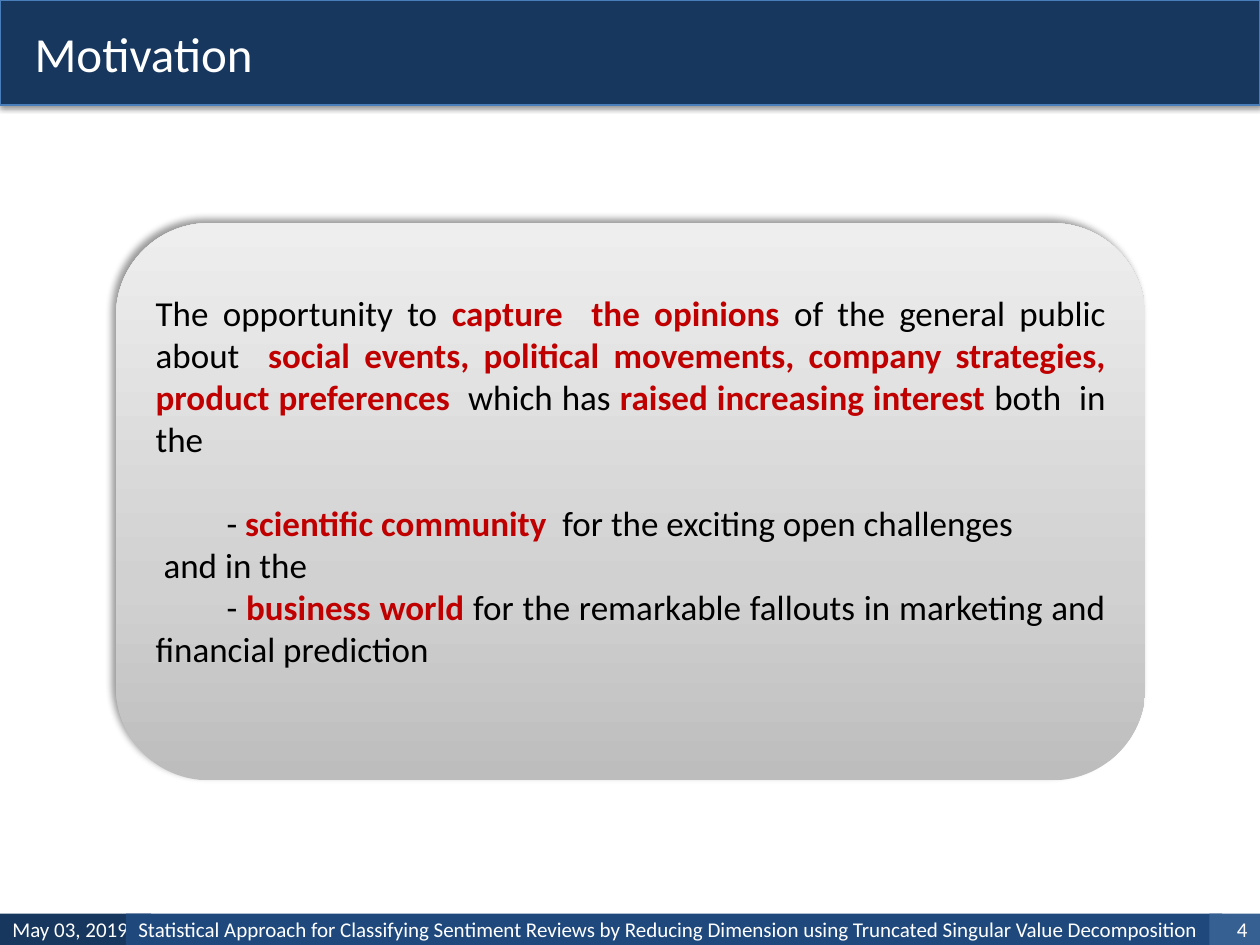
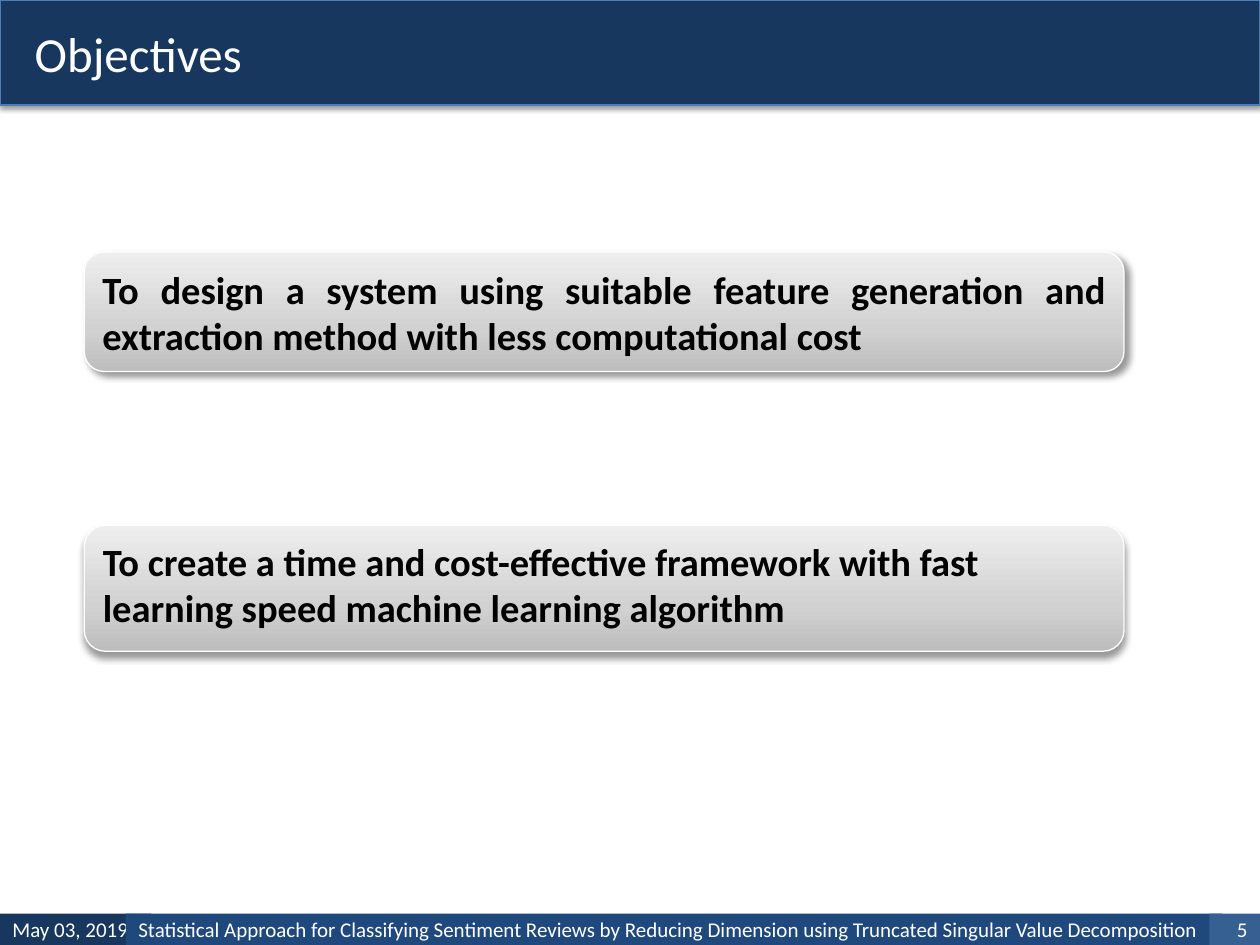
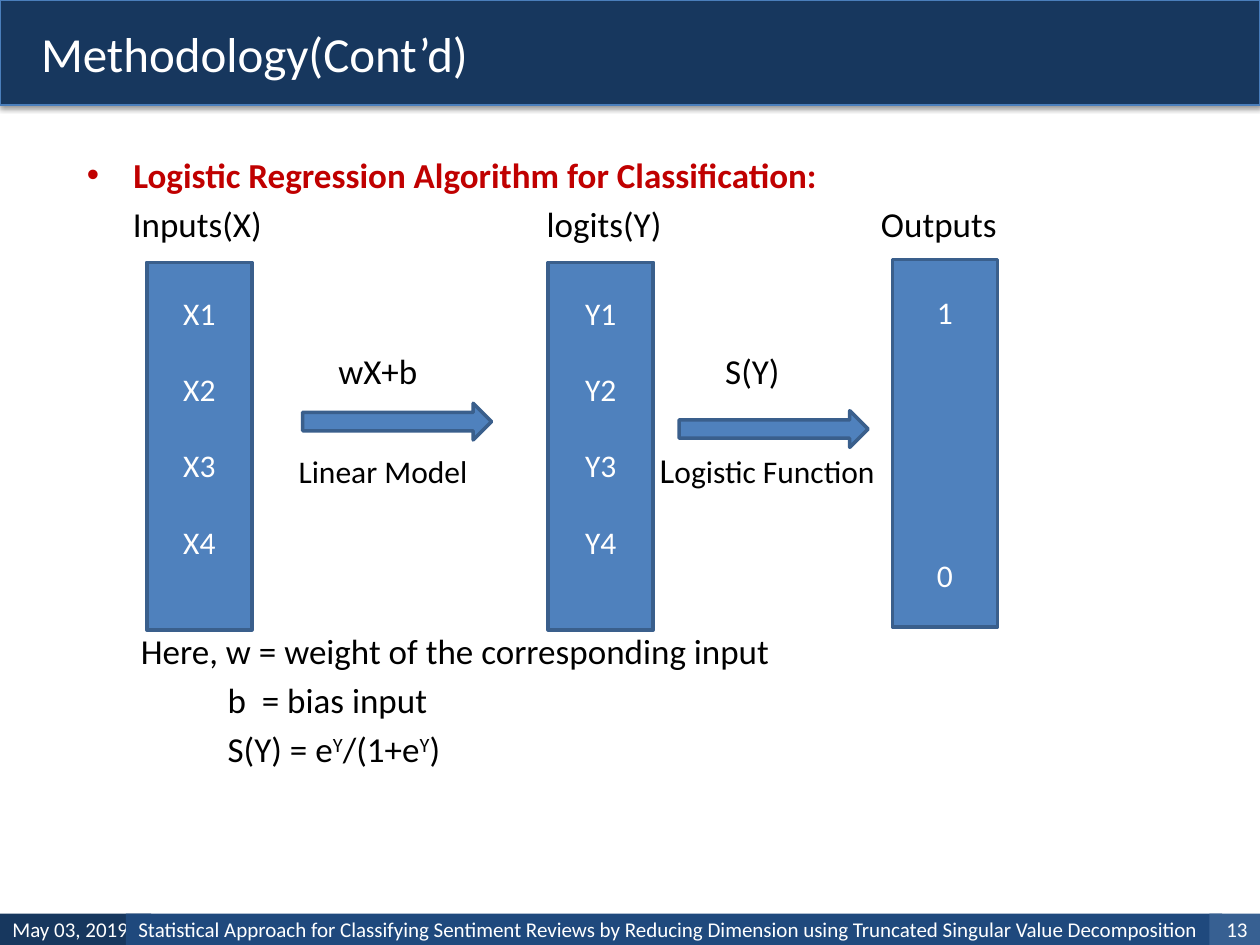
from lxml.etree import SubElement
from pptx import Presentation
from pptx.dml.color import RGBColor
from pptx.enum.shapes import MSO_SHAPE as Shape
from pptx.enum.text import MSO_ANCHOR as Anchor, PP_ALIGN as Align
from pptx.oxml.ns import qn
from pptx.util import Cm, Pt

# Shared style
FONT = "Calibri"
WHITE = RGBColor(0xFF, 0xFF, 0xFF)
BLACK = RGBColor(0x00, 0x00, 0x00)
RED = RGBColor(0xC0, 0x00, 0x00)
NAVY = RGBColor(0x17, 0x37, 0x5E)
FOOTER_BLUE = RGBColor(0x1F, 0x49, 0x7D)
NUMBER_BLUE = RGBColor(0x37, 0x60, 0x92)
TITLE_EDGE = RGBColor(0x4A, 0x7E, 0xBB)
BLOCK_BLUE = RGBColor(0x4F, 0x81, 0xBD)
BLOCK_EDGE = RGBColor(0x3A, 0x5F, 0x8C)
GREYS = [
    (0, RGBColor(0xBD, 0xBD, 0xBD)),
    (35, RGBColor(0xD1, 0xD1, 0xD1)),
    (100, RGBColor(0xEE, 0xEE, 0xEE)),
]
KEY = {"color": RED, "bold": True}
SUPERSCRIPT = {"baseline": 30}

DATE = "May 03, 2019"
TALK = ("Statistical Approach for Classifying Sentiment Reviews by Reducing "
        "Dimension using Truncated Singular Value Decomposition")


def add_run(paragraph, text, size, color, bold=False, baseline=0):
    run = paragraph.add_run()
    run.text = text
    font = run.font
    font.name, font.size, font.bold = FONT, Pt(size), bold
    font.color.rgb = color
    if baseline:
        run._r.get_or_add_rPr().set("baseline", str(baseline * 1000))


def write(frame, text, size=20, color=BLACK, bold=False, align=Align.LEFT,
          before=0, left=0, first=0, bullet=None):
    """Add a paragraph; text is a string or a list of (text, run format)."""
    paragraph = frame.paragraphs[0]
    if paragraph.runs:
        paragraph = frame.add_paragraph()
    paragraph.alignment = align
    paragraph.space_before = Pt(before)
    properties = paragraph._p.get_or_add_pPr()
    properties.set("marL", str(Cm(left)))
    properties.set("indent", str(Cm(first)))
    if bullet:
        bullet_color = SubElement(properties, qn("a:buClr"))
        SubElement(bullet_color, qn("a:srgbClr"), val=str(color))
        SubElement(properties, qn("a:buFont"), typeface="Arial")
        SubElement(properties, qn("a:buChar"), char=bullet)
    base = {"size": size, "color": color, "bold": bold}
    for piece, changes in [(text, {})] if isinstance(text, str) else text:
        add_run(paragraph, piece, **{**base, **changes})


class Deck:
    def __init__(self):
        self.presentation = Presentation()
        self.presentation.slide_width = Cm(25.4)
        self.presentation.slide_height = Cm(19.05)
        self.slide = None

    def new_slide(self, title, number, title_inset=0.7):
        layout = self.presentation.slide_layouts[6]
        self.slide = self.presentation.slides.add_slide(layout)
        # Title band
        band = self.shape(Shape.RECTANGLE, 0, 0, 25.4, 2.12, NAVY, TITLE_EDGE)
        self.shadow(band, alpha=38, blur=3.1, distance=1.6, angle=90)
        frame = self.frame(band, left=title_inset)
        write(frame, title, size=28, color=WHITE)
        # Footer
        for left, width, fill, text, align in (
            (0, 3.05, NAVY, DATE, Align.LEFT),
            (2.54, 22.1, FOOTER_BLUE, TALK, Align.JUSTIFY),
            (24.38, 1.02, NUMBER_BLUE, str(number), Align.RIGHT),
        ):
            box = self.shape(Shape.RECTANGLE, left, 18.42, width, 0.63, fill)
            write(self.frame(box, top=0, bottom=0), text, size=12,
                  color=WHITE, align=align)

    def shape(self, kind, left, top, width, height, fill=None, line=None,
              line_width=0.75):
        shape = self.slide.shapes.add_shape(
            kind, Cm(left), Cm(top), Cm(width), Cm(height))
        shape.shadow.inherit = False
        if fill:
            shape.fill.solid()
            shape.fill.fore_color.rgb = fill
        if line:
            shape.line.color.rgb = line
            shape.line.width = Pt(line_width)
        else:
            shape.line.fill.background()
        return shape

    def shadow(self, shape, alpha, blur, distance, angle):
        effects = shape._element.spPr.find(qn("a:effectLst"))
        outer = SubElement(
            effects, qn("a:outerShdw"), blurRad=str(Pt(blur)),
            dist=str(Pt(distance)), dir=str(angle * 60000), rotWithShape="0")
        color = SubElement(outer, qn("a:srgbClr"), val=str(BLACK))
        SubElement(color, qn("a:alpha"), val=str(alpha * 1000))

    def frame(self, shape, left=0.25, top=0.13, bottom=0.13,
              anchor=Anchor.MIDDLE):
        frame = shape.text_frame
        frame.word_wrap = True
        frame.vertical_anchor = anchor
        frame.margin_left, frame.margin_right = Cm(left), Cm(0.25)
        frame.margin_top, frame.margin_bottom = Cm(top), Cm(bottom)
        return frame

    def panel(self, left, top, width, height, shadow_angle, line=None):
        """Rounded panel, shaded from dark grey at the foot to light grey."""
        panel = self.shape(Shape.ROUNDED_RECTANGLE, left, top, width, height,
                           line=line)
        panel.fill.gradient()
        panel.fill.gradient_angle = 90
        stops = panel._element.spPr.find(qn("a:gradFill")).find(qn("a:gsLst"))
        stops.clear()
        for position, grey in GREYS:
            stop = SubElement(stops, qn("a:gs"), pos=str(position * 1000))
            SubElement(stop, qn("a:srgbClr"), val=str(grey))
        self.shadow(panel, alpha=40, blur=4, distance=3, angle=shadow_angle)
        return panel

    def text_box(self, left, top, width, height):
        box = self.slide.shapes.add_textbox(
            Cm(left), Cm(top), Cm(width), Cm(height))
        return self.frame(box, anchor=Anchor.TOP)

    def label(self, left, top, text, size=20):
        write(self.text_box(left, top, 5, 1.1), text, size=size)

    def column(self, left, top, labels, gap, bottom=0.13):
        block = self.shape(Shape.RECTANGLE, left, top, 2.12, 7.41,
                           BLOCK_BLUE, BLOCK_EDGE, 2)
        frame = self.frame(block, bottom=bottom)
        for index, label in enumerate(labels):
            write(frame, label, size=18, color=WHITE, align=Align.CENTER,
                  before=gap if index else 0)

    def arrow(self, left, top):
        self.shape(Shape.RIGHT_ARROW, left, top, 3.81, 0.74,
                   BLOCK_BLUE, BLOCK_EDGE, 2)


def motivation(deck):
    deck.new_slide("Motivation", 4)
    panel = deck.panel(2.34, 4.5, 20.75, 11.23, shadow_angle=225)
    frame = deck.frame(panel, bottom=0.99)
    write(frame, [
        ("The opportunity to ", {}),
        ("capture  the opinions ", KEY),
        ("of the general public about  ", {}),
        ("social events, political movements, company strategies, "
         "product preferences  ", KEY),
        ("which has ", {}),
        ("raised increasing interest ", KEY),
        ("both  in the", {}),
    ], align=Align.JUSTIFY)
    write(frame, [
        ("- ", {}),
        ("scientific community  ", KEY),
        ("for the exciting open challenges", {}),
    ], align=Align.JUSTIFY, before=24, first=1.43)
    write(frame, "and in the", align=Align.JUSTIFY, first=0.16)
    write(frame, [
        ("- ", {}),
        ("business world ", KEY),
        ("for the remarkable fallouts in marketing and financial prediction",
         {}),
    ], align=Align.JUSTIFY, first=1.43)


def objectives(deck):
    deck.new_slide("Objectives", 5)
    for top, height, angle, anchor, align, text in (
        (5.08, 2.41, 45, Anchor.MIDDLE, Align.JUSTIFY,
         "To design a system using suitable feature generation and "
         "extraction method with less computational cost"),
        (10.59, 2.54, 90, Anchor.TOP, Align.LEFT,
         "To create a time and cost-effective framework with fast "
         "learning speed machine learning algorithm"),
    ):
        panel = deck.panel(1.7, top, 20.96, height, angle, line=WHITE)
        write(deck.frame(panel, anchor=anchor), text, size=22, bold=True,
              align=align)


def methodology(deck):
    deck.new_slide("Methodology(Cont’d)", 13, title_inset=0.83)

    # Heading above the diagram, explanation below it
    frame = deck.text_box(1.47, 2.97, 22.43, 13.84)
    write(frame, "Logistic Regression Algorithm for Classification:", **KEY,
          before=4, left=0.97, first=-0.94, bullet="•")
    write(frame, "Here, w = weight of the corresponding input",
          before=248, left=1.12)
    write(frame, "b  = bias input", before=4, left=2.87)
    write(frame, [
        ("S(Y) = e", {}), ("Y", SUPERSCRIPT),
        ("/(1+e", {}), ("Y", SUPERSCRIPT), (")", {}),
    ], before=4, left=2.87)

    # Columns and their headings
    for left, text in ((2.43, "Inputs(X)"), (10.77, "logits(Y)"),
                       (17.51, "Outputs")):
        deck.label(left, 3.96, text)
    for left, letter in ((2.96, "X"), (11.05, "Y")):
        labels = [f"{letter}{index}" for index in range(1, 5)]
        deck.column(left, 5.29, labels, gap=22, bottom=0.9)
    deck.column(17.99, 5.23, ["1", "0"], gap=129)

    # Arrows, with the formula above and the name below
    deck.label(6.57, 6.92, "wX+b")
    deck.arrow(6.1, 8.13)
    deck.label(5.77, 8.98, "Linear Model", size=18)
    deck.label(14.37, 6.92, "S(Y)")
    deck.arrow(13.69, 8.28)
    deck.label(13.05, 8.92, [("L", {"size": 20}), ("ogistic Function", {})],
               size=18)


def main():
    deck = Deck()
    motivation(deck)
    objectives(deck)
    methodology(deck)
    deck.presentation.save("out.pptx")


if __name__ == "__main__":
    main()
